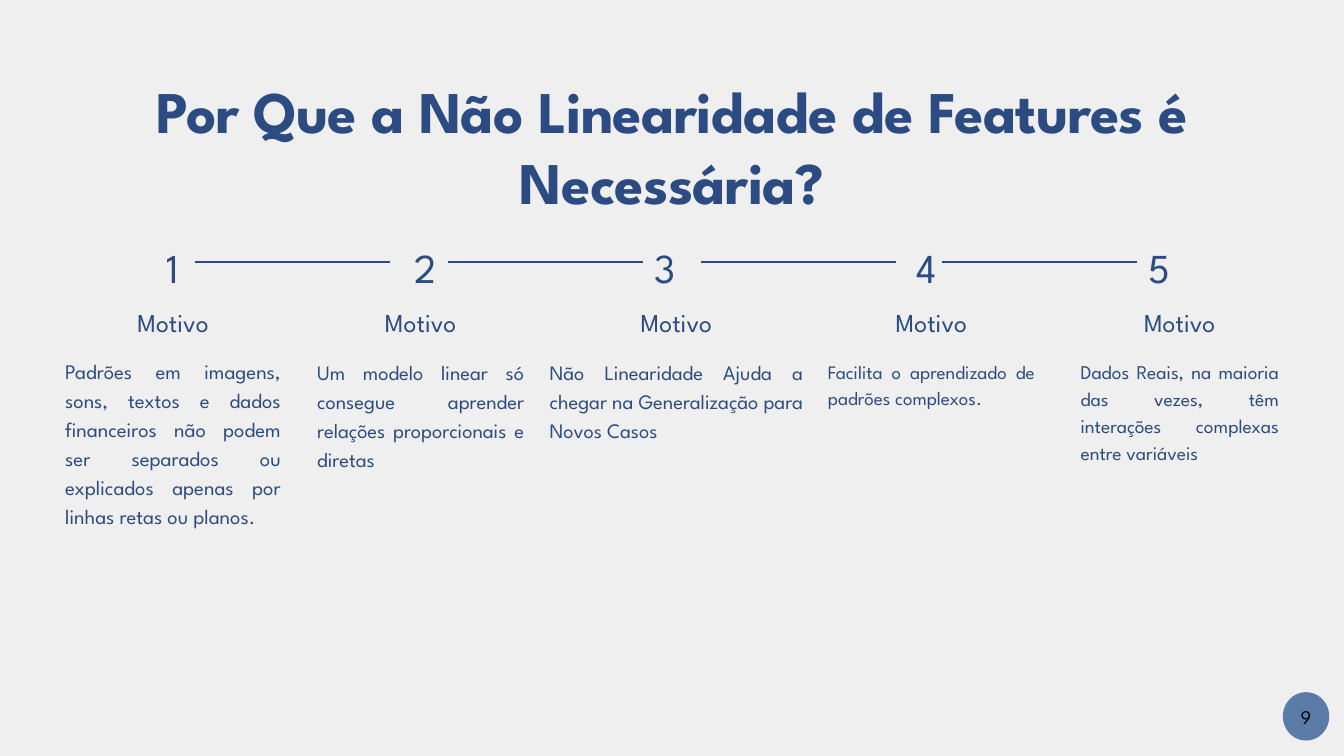
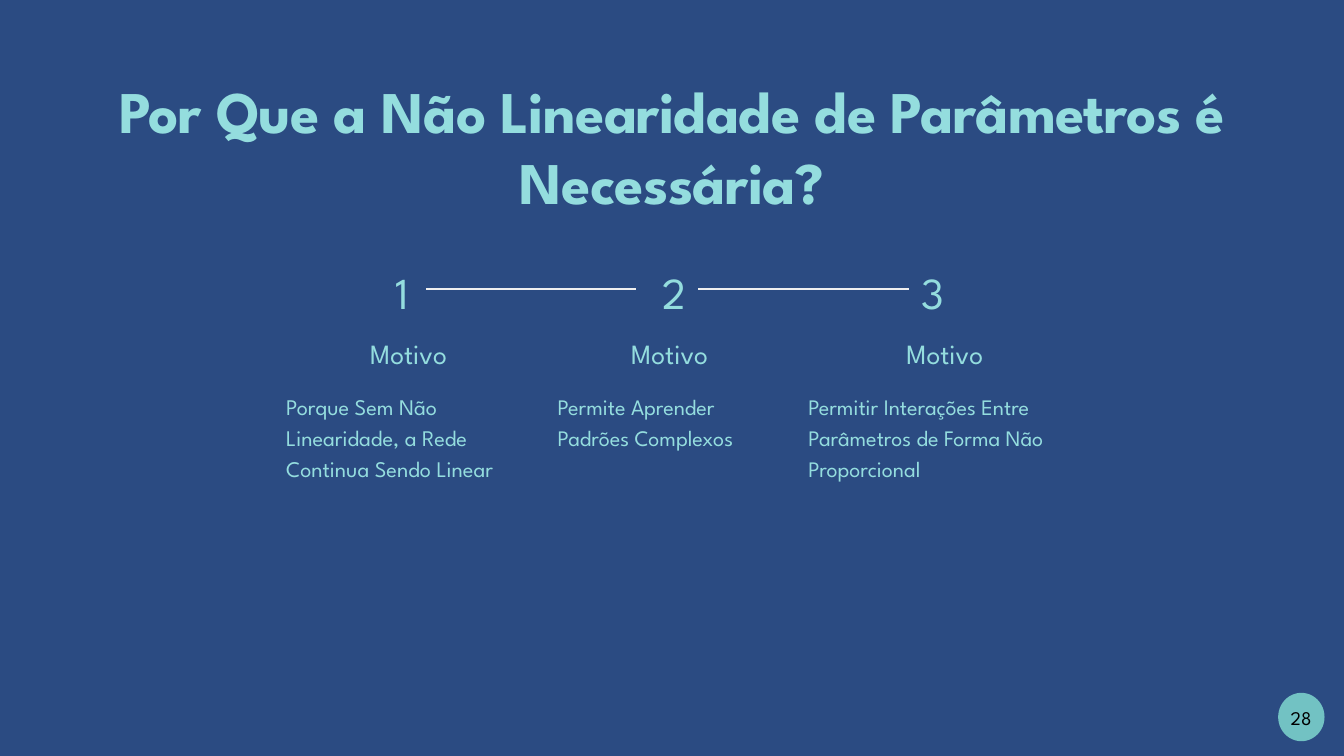
from dataclasses import dataclass

from pptx import Presentation
from pptx.dml.color import RGBColor
from pptx.enum.shapes import MSO_CONNECTOR, MSO_SHAPE
from pptx.enum.text import MSO_ANCHOR, PP_ALIGN
from pptx.oxml.ns import qn
from pptx.util import Inches, Pt

COLS, ROWS = 80, 45  # square grid cells
CELL = 0.25  # inches
RIGHT_SIDE, LEFT_SIDE = 3, 1


@dataclass(frozen=True)
class Theme:
    font: str = "League Spartan"
    paper: str = "EFEFEF"
    navy: str = "2B4B82"
    aqua: str = "94DDDE"
    light_badge: str = "5B7CA9"
    dark_badge: str = "72C2C3"
    badge_ink: str = "000000"
    title: float = 63.2
    badge: float = 20.7
    tracking: int = -70
    title_spacing: float = 1.2
    text_spacing: float = 1.4


@dataclass(frozen=True)
class Look:
    """Colours, type sizes and row measures of one timeline slide."""
    bg: str
    ink: str
    line: str
    badge: str
    line_width: float
    digit: float
    label: float
    align: PP_ALIGN
    digit_box: tuple
    label_top: float
    label_height: float
    body_top: float
    line_length: float


@dataclass(frozen=True)
class Reason:
    """One column; lengths are grid cells, lefts count from the timeline's box."""
    left: float
    width: float
    digit_left: float
    body_top_shift: float
    body_height: float
    size: float
    text: str
    line_gap: float = 0  # from the digit to the line after it


T = Theme()

LIGHT = Look(T.paper, T.navy, T.navy, T.light_badge, 3, 44, 27.6,
             PP_ALIGN.JUSTIFY, (2.64, 3.36), 4.04, 2.04, 7.28, 11.6)
DARK = Look(T.navy, T.aqua, T.paper, T.dark_badge, 2.25, 47.4, 29.8,
            PP_ALIGN.LEFT, (2.84, 3.84), 4.44, 2.16, 7.88, 12.5)

FEATURE_REASONS = [
    Reason(0, 12.84, 5.08, -0.08, 10.2, 22.2,
           "Padrões em imagens, sons, textos e dados financeiros não podem ser "
           "separados ou explicados apenas por linhas retas ou planos."),
    Reason(15, 12.32, 20.12, 0, 6.76, 22,
           "Um modelo linear só consegue aprender relações proporcionais e diretas"),
    Reason(28.84, 15.08, 34.4, 0, 5.04, 22,
           "Não Linearidade Ajuda a chegar na Generalização para Novos Casos", 0.8),
    Reason(45.4, 12.32, 49.96, 0, 3.08, 20.4,
           "Facilita o aprendizado de padrões complexos.", -0.4),
    Reason(60.44, 11.8, 63.8, 0, 7.84, 20.8,
           "Dados Reais, na maioria das vezes, têm interações complexas entre variáveis"),
]
PARAMETER_REASONS = [
    Reason(0, 14.56, 5.48, -0.04, 5.44, 23.9,
           "Porque Sem Não Linearidade, a Rede Continua Sendo Linear"),
    Reason(16.16, 13.32, 21.68, 0, 3.64, 23.7,
           "Permite Aprender Padrões Complexos"),
    Reason(31.08, 16.24, 37.08, 0, 5.44, 23.7,
           "Permitir Interações Entre Parâmetros de Forma Não Proporcional"),
]


def cells(*values):
    return [Inches(v * CELL) for v in values]


def rgb(value):
    return RGBColor.from_string(value)


def add_text(s, box, text, size, color, align=PP_ALIGN.CENTER,
             spacing=T.text_spacing, inset=0):
    sp = s.shapes.add_textbox(*cells(*box))
    tf = sp.text_frame
    tf.word_wrap = True
    tf.margin_left = tf.margin_right = tf.margin_top = tf.margin_bottom = Inches(inset)
    p = tf.paragraphs[0]
    p.alignment = align
    p.line_spacing = Pt(round(size * spacing, 1))
    r = p.add_run()
    r.text = text
    r.font.name, r.font.size = T.font, Pt(size)
    r.font.color.rgb = rgb(color)
    return sp


def add_title(s, box, text, color):
    sp = add_text(s, box, text, T.title, color, spacing=T.title_spacing)
    r = sp.text_frame.paragraphs[0].runs[0]
    r.font.bold = True
    r._r.get_or_add_rPr().set("spc", str(T.tracking))


def add_badge(s, box, number, fill):
    left, top, width, height = box
    disc = s.shapes.add_shape(MSO_SHAPE.OVAL, *cells(*box))
    disc.shadow.inherit = False
    disc.fill.solid()
    disc.fill.fore_color.rgb = rgb(fill)
    disc.line.fill.background()
    inner = (left + 0.09 * width, top + 0.04 * height, 0.81 * width, 0.86 * height)
    sp = add_text(s, inner, str(number), T.badge, T.badge_ink, inset=0.06)
    sp.text_frame.vertical_anchor = MSO_ANCHOR.MIDDLE


def add_reason(s, left, top, reason, look):
    """Label and body of one column."""
    add_text(s, (left, top + look.label_top, reason.width, look.label_height),
             "Motivo", look.label, look.ink)
    body_top = top + look.body_top + reason.body_top_shift
    add_text(s, (left, body_top, reason.width, reason.body_height),
             reason.text, reason.size, look.ink, look.align)


def join_digits(s, before, after, gap, look):
    """Line between two digits, joined to each one it touches."""
    y = before.top + before.height // 2
    start = before.left + before.width + Inches(gap * CELL)
    end = start + Inches(look.line_length * CELL)
    line = s.shapes.add_connector(MSO_CONNECTOR.STRAIGHT, start, y, end, y)
    line.line.color.rgb = rgb(look.line)
    line.line.width = Pt(look.line_width)
    sp_pr = line._element.spPr
    sp_pr.append(sp_pr.makeelement(qn("a:effectLst"), {}))
    if gap == 0:
        line.begin_connect(before, RIGHT_SIDE)
    if abs(after.left - end) < Inches(0.05):
        line.end_connect(after, LEFT_SIDE)


def add_timeline(s, left, top, reasons, look):
    digits = []
    for number, reason in enumerate(reasons, 1):
        add_reason(s, left + reason.left, top, reason, look)
        box = (left + reason.digit_left, top, *look.digit_box)
        digits.append(add_text(s, box, str(number), look.digit, look.ink))
    for before, after, reason in zip(digits, digits[1:], reasons):
        join_digits(s, before, after, reason.line_gap, look)


def add_timeline_slide(prs, title, reasons, look, origin, number, badge_at):
    s = prs.slides.add_slide(prs.slide_layouts[6])
    s.background.fill.solid()
    s.background.fill.fore_color.rgb = rgb(look.bg)
    add_title(s, (0, 4.44, COLS, 8.44), title, look.ink)
    add_timeline(s, *origin, reasons, look)
    add_badge(s, (*badge_at, 2.76, 2.88), number, look.badge)


def main():
    prs = Presentation()
    prs.slide_width, prs.slide_height = cells(COLS, ROWS)
    add_timeline_slide(prs, "Por Que a Não Linearidade de Features é Necessária?",
                       FEATURE_REASONS, LIGHT, (3.88, 13.92), 9, (76.36, 41.2))
    add_timeline_slide(prs, "Por Que a Não Linearidade de Parâmetros é Necessária?",
                       PARAMETER_REASONS, DARK, (17.04, 15.28), 28, (76.08, 41.24))
    prs.save("out.pptx")


if __name__ == "__main__":
    main()
